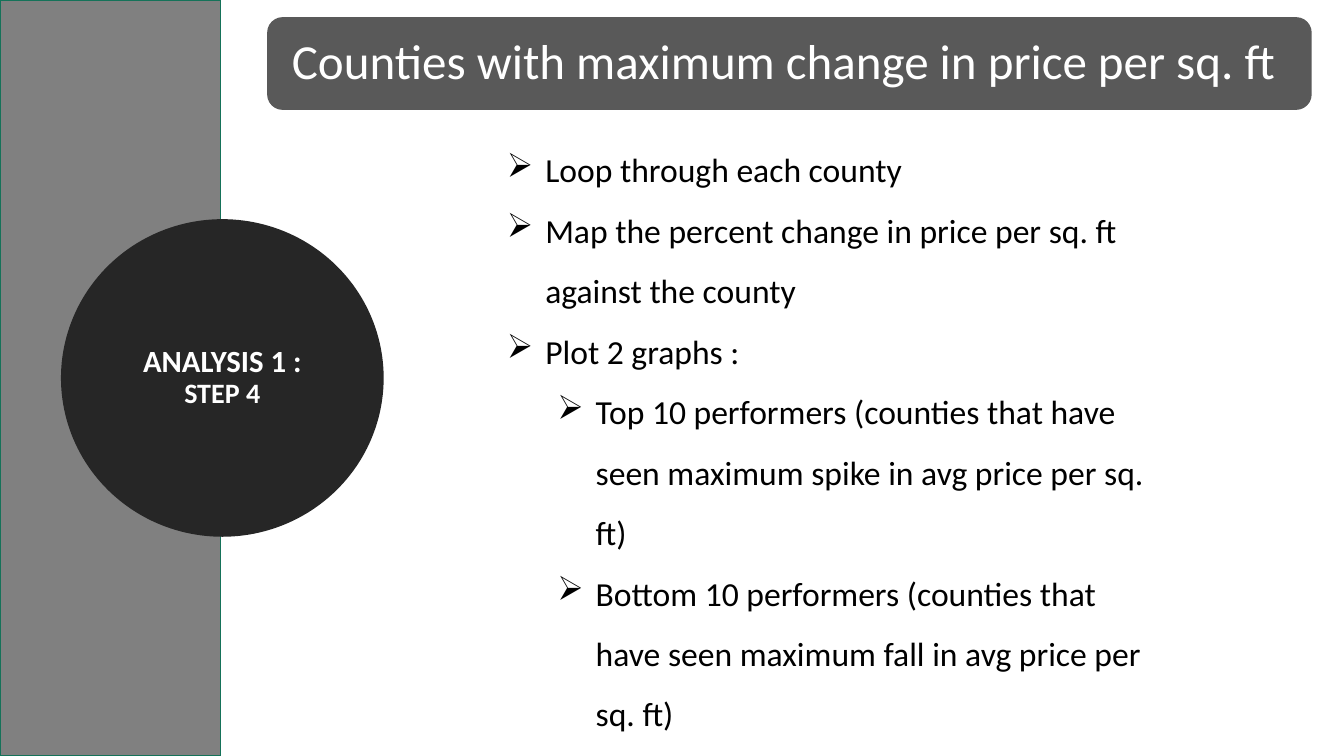
from lxml import etree
from pptx import Presentation
from pptx.dml.color import RGBColor
from pptx.enum.shapes import MSO_SHAPE as SHAPE
from pptx.enum.text import MSO_ANCHOR as ANCHOR, MSO_AUTO_SIZE as AUTO, PP_ALIGN as ALIGN
from pptx.oxml.ns import qn
from pptx.util import Inches, Pt

COLORS = {
    "white": "FFFFFF",
    "black": "000000",
    "banner": "595959",
    "sidebar": "808080",
    "sidebar_edge": "157259",
    "badge": "262626",
}


def add_run(paragraph, text, size=24, color="black", bold=False):
    run = paragraph.add_run()
    run.text = text
    run.font.name = "Calibri"
    run.font.size = Pt(size)
    run.font.bold = bold
    run.font.color.rgb = RGBColor.from_string(COLORS[color])


def add_panel(kind, left, top, width, height, fill, edge=None, edge_width=1):
    panel = slide.shapes.add_shape(
        kind, Inches(left), Inches(top), Inches(width), Inches(height))
    panel.shadow.inherit = False
    panel.fill.solid()
    panel.fill.fore_color.rgb = RGBColor.from_string(COLORS[fill])
    if edge:
        panel.line.color.rgb = RGBColor.from_string(COLORS[edge])
        panel.line.width = Pt(edge_width)
    else:
        panel.line.fill.background()
    panel.text_frame.word_wrap = True
    panel.text_frame.vertical_anchor = ANCHOR.MIDDLE
    return panel


prs = Presentation()
prs.slide_width = Inches(13.33)
prs.slide_height = Inches(7.5)
slide = prs.slides.add_slide(prs.slide_layouts[6])

steps = [
    (0, "Loop through each county"),
    (0, "Map the percent change in price per sq. ft against the county"),
    (0, "Plot 2 graphs :"),
    (1, "Top 10 performers (counties that have seen maximum spike in avg price per sq. ft)"),
    (1, "Bottom 10 performers (counties that have seen maximum fall in avg price per sq. ft)"),
]
steps_frame = slide.shapes.add_textbox(
    Inches(4.93), Inches(1.23), Inches(6.67), Inches(6.1)).text_frame
steps_frame.word_wrap = True
steps_frame.auto_size = AUTO.SHAPE_TO_FIT_TEXT
for index, (level, step) in enumerate(steps):
    paragraph = steps_frame.add_paragraph() if index else steps_frame.paragraphs[0]
    paragraph.level = level
    paragraph.line_spacing = 1.5
    properties = paragraph._p.get_or_add_pPr()
    properties.set("marL", str(Inches(0.38 + 0.5 * level)))
    properties.set("indent", str(Inches(-0.38)))
    etree.SubElement(properties, qn("a:buChar")).set("char", "➢")
    add_run(paragraph, step)

banner = add_panel(SHAPE.ROUNDED_RECTANGLE, 2.65, 0.17, 10.36, 0.92, "banner")
banner.text_frame.margin_left = banner.text_frame.margin_right = Inches(0.2)
title = banner.text_frame.paragraphs[0]
title.alignment = ALIGN.LEFT
title.line_spacing = 0.9
add_run(title, "Counties with maximum change in price per sq. ft", size=35, color="white")

add_panel(SHAPE.RECTANGLE, 0, 0, 2.19, 7.5, "sidebar", edge="sidebar_edge")

badge = add_panel(SHAPE.OVAL, 0.7, 2.27, 3.01, 2.96, "badge", edge="badge", edge_width=13.75)
badge_label = badge.text_frame.paragraphs[0]
badge_label.alignment = ALIGN.CENTER
badge_label.line_spacing = 0.9
badge_label.space_after = Pt(8)
add_run(badge_label, "ANALYSIS 1 : ", size=22, color="white", bold=True)
add_run(badge_label, "STEP 4", size=20, color="white", bold=True)

prs.save("out.pptx")
